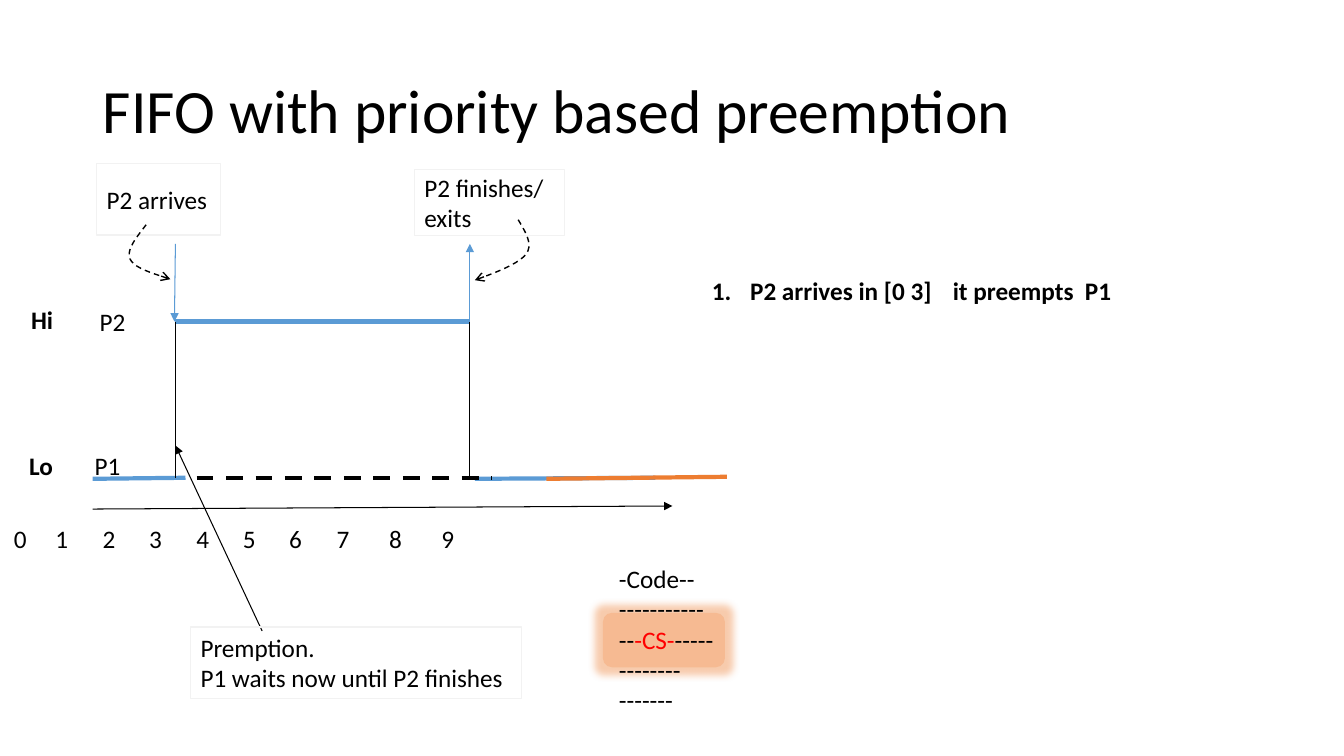
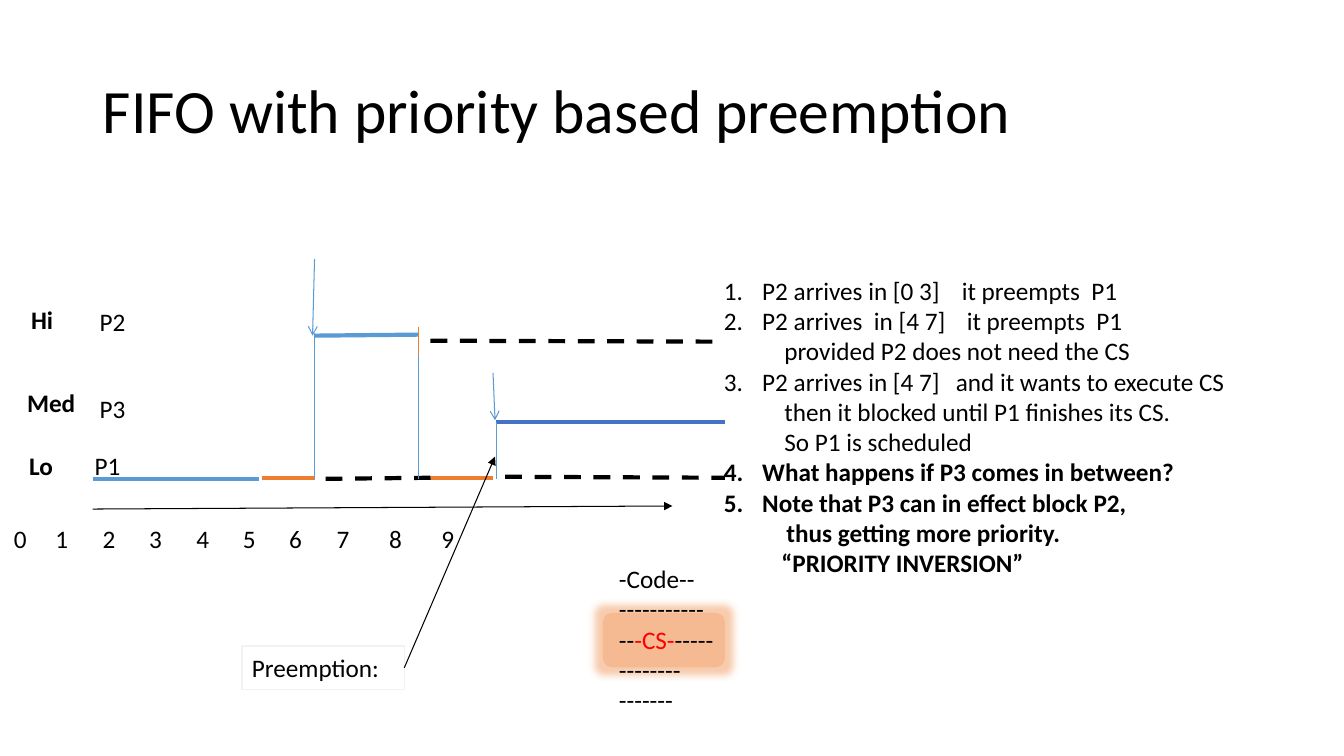
import dataclasses
import typing

import lxml.etree
import pptx
import pptx.dml.color
import pptx.enum.dml
import pptx.enum.shapes
import pptx.enum.text
import pptx.oxml.ns
import pptx.util

Inches = pptx.util.Inches
Pt = pptx.util.Pt
qn = pptx.oxml.ns.qn

COLORS = {
    "text": "000000",
    "run": "5B9BD5",
    "critical": "ED7D31",
    "medium": "4472C4",
    "note_edge": "F2F2F2",
    "section": "F6BA92",
    "section_text": "FF0000",
}
FONT = "Calibri"
TITLE = "FIFO with priority based preemption"
AXIS_STOPS = [0.41, 0.88, 1.34, 1.81, 2.27, 2.73, 3.2, 3.72, 4.24]
LOW = 3.12
THICK = 3
THIN = 0.75


@dataclasses.dataclass
class Region:
    slide: typing.Any
    left: float
    top: float

    def point(self, x, y):
        return Inches(self.left + x), Inches(self.top + y)


def rgb(name):
    return pptx.dml.color.RGBColor.from_string(COLORS[name])


def add_run(paragraph, text, size=18, bold=False, color="text"):
    run = paragraph.add_run()
    run.text = text
    run.font.name = FONT
    run.font.size = Pt(size)
    run.font.bold = bold
    run.font.color.rgb = rgb(color)


def fill_lines(frame, lines, bold=False):
    for index, line in enumerate(lines):
        paragraph = frame.add_paragraph() if index else frame.paragraphs[0]
        paragraph.alignment = pptx.enum.text.PP_ALIGN.LEFT
        for text, color in [(line, "text")] if isinstance(line, str) else line:
            add_run(paragraph, text, bold=bold, color=color)


def set_tabs(paragraph, stops):
    tabs = lxml.etree.SubElement(paragraph._p.get_or_add_pPr(), qn("a:tabLst"))
    for stop in stops:
        lxml.etree.SubElement(tabs, qn("a:tab"), pos=str(Inches(stop)), algn="l")


def label(region, x, y, lines, width=0.8, height=0.4, bold=False):
    box = region.slide.shapes.add_textbox(
        *region.point(x, y), Inches(width), Inches(height))
    box.text_frame.word_wrap = True
    fill_lines(box.text_frame, lines, bold)
    return box


def note(region, x, y, width, height, lines):
    box = region.slide.shapes.add_shape(
        pptx.enum.shapes.MSO_SHAPE.RECTANGLE,
        *region.point(x, y), Inches(width), Inches(height))
    box.shadow.inherit = False
    box.fill.background()
    box.line.color.rgb = rgb("note_edge")
    box.line.width = Pt(1)
    box.text_frame.word_wrap = True
    box.text_frame.vertical_anchor = pptx.enum.text.MSO_ANCHOR.MIDDLE
    fill_lines(box.text_frame, lines)
    return box


def style_line(line, color, width, dashed, head):
    line.color.rgb = rgb(color)
    line.width = Pt(width)
    if dashed:
        line.dash_style = pptx.enum.dml.MSO_LINE.DASH
    if head:
        lxml.etree.SubElement(line._get_or_add_ln(), qn("a:tailEnd"), type=head)


def line(region, start, end, color="text", width=THIN, dashed=False, head=None):
    connector = region.slide.shapes.add_connector(
        pptx.enum.shapes.MSO_CONNECTOR.STRAIGHT,
        *region.point(*start), *region.point(*end))
    style_line(connector.line, color, width, dashed, head)
    lxml.etree.SubElement(connector._element.spPr, qn("a:effectLst"))
    return connector


def curved_arrow(region, start, *segments, steps=10):
    points = []
    origin = start
    for segment in segments:
        corners = (origin, *segment)
        for step in range(1, steps + 1):
            t = step / steps
            weights = ((1 - t) ** 3, 3 * t * (1 - t) ** 2, 3 * t * t * (1 - t), t ** 3)
            points.append(region.point(*(
                sum(w * corner[axis] for w, corner in zip(weights, corners))
                for axis in (0, 1))))
        origin = segment[-1]
    builder = region.slide.shapes.build_freeform(*region.point(*start))
    builder.add_line_segments(points, close=False)
    arrow = builder.convert_to_shape()
    arrow.shadow.inherit = False
    arrow.fill.background()
    style_line(arrow.line, "text", 1, True, "arrow")


def move(placeholder, left, top, width, height):
    placeholder.left, placeholder.top = Inches(left), Inches(top)
    placeholder.width, placeholder.height = Inches(width), Inches(height)


def title_band(slide):
    title = slide.shapes.title
    move(title, 0.92, 0.4, 11.5, 1.45)
    title.text_frame.vertical_anchor = pptx.enum.text.MSO_ANCHOR.MIDDLE
    heading = title.text_frame.paragraphs[0]
    heading.alignment = pptx.enum.text.PP_ALIGN.LEFT
    heading.line_spacing = 0.9
    add_run(heading, TITLE, size=44)


def code_listing(region):
    section = region.slide.shapes.add_shape(
        pptx.enum.shapes.MSO_SHAPE.ROUNDED_RECTANGLE,
        *region.point(0, 0.54), Inches(1.21), Inches(0.54))
    section.shadow.inherit = False
    section.fill.solid()
    section.fill.fore_color.rgb = rgb("section")
    section.line.fill.background()
    effects = section._element.spPr.find(qn("a:effectLst"))
    glow = lxml.etree.SubElement(effects, qn("a:glow"), rad=str(Inches(0.15)))
    tint = lxml.etree.SubElement(glow, qn("a:srgbClr"), val=COLORS["critical"])
    lxml.etree.SubElement(tint, qn("a:alpha"), val="40000")
    label(region, 0.06, 0, [
        "-Code--",
        "-----------",
        [("--", "text"), ("-CS-", "section_text"), ("-----", "text")],
        "--------",
        "-------",
    ], width=1.34, height=1.6)


def time_axis(region):
    line(region, (0, 3.43), (5.75, 3.4), head="triangle")
    ticks = label(region, -0.88, 3.52, ["\t".join(map(str, range(10)))], width=6.16)
    set_tabs(ticks.text_frame.paragraphs[0], AXIS_STOPS)


def process_levels(region, levels):
    for level, level_at, process, process_at in levels:
        label(region, *level_at, [level], bold=True)
        label(region, *process_at, [process])


def scenario_list(slide, left, top, width, height, items):
    body = slide.placeholders[1]
    move(body, left, top, width, height)
    frame = body.text_frame
    frame.word_wrap = True
    frame.auto_size = pptx.enum.text.MSO_AUTO_SIZE.NONE
    for index, (number, indent, text, stop, bold) in enumerate(items):
        paragraph = frame.add_paragraph() if index else frame.paragraphs[0]
        paragraph.line_spacing = 1.0
        paragraph.space_before = Pt(0)
        properties = paragraph._p.get_or_add_pPr()
        properties.set("marL", str(Inches(indent)))
        properties.set("indent", str(Inches(-indent if number else 0)))
        if number:
            lxml.etree.SubElement(properties, qn("a:buFont"), typeface="+mj-lt")
            lxml.etree.SubElement(
                properties, qn("a:buAutoNum"), type="arabicPeriod", startAt=str(number))
        else:
            lxml.etree.SubElement(properties, qn("a:buNone"))
        if stop:
            set_tabs(paragraph, [stop])
        add_run(paragraph, text, bold=bold)


HI_LEVEL = ("Hi", (-0.71, 1.35), "P2", (-0.03, 1.37))
MED_LEVEL = ("Med", (-0.75, 2.17), "P3", (-0.03, 2.23))
LO_LEVEL = ("Lo", (-0.73, 2.8), "P1", (-0.08, 2.8))


def two_process_diagram(region):
    arrival, finish, high = 0.82, 3.74, 1.57
    line(region, (0, 3.13), (0.92, LOW), "run", THICK)
    line(region, (3.79, 3.13), (5.58, LOW), "run", THICK)
    line(region, (1.03, LOW), (3.96, LOW), width=THICK, dashed=True)
    line(region, (arrival, high), (finish, high), "run", THICK)
    line(region, (4.5, 3.13), (6.29, 3.11), "critical", THICK)
    line(region, (arrival, 0.8), (0.81, high), "run", head="triangle")
    line(region, (finish, high), (finish, 0.8), "run", head="triangle")
    for x in (arrival, finish):
        line(region, (x, LOW), (x, high))
    line(region, (1.68, 4.64), (arrival, 2.8), head="triangle")
    note(region, 0.97, 4.6, 3.28, 0.71,
         ["Premption.", "P1 waits now until P2 finishes"])
    note(region, 0.04, 0, 1.23, 0.71, ["P2 arrives"])
    note(region, 3.19, 0.06, 1.49, 0.66, ["P2 finishes/ exits"])
    curved_arrow(region, (0.53, 0.61),
                 ((0.43, 0.74), (0.33, 0.86), (0.37, 0.95)),
                 ((0.41, 1.04), (0.59, 1.09), (0.77, 1.15)))
    curved_arrow(region, (4.22, 0.56),
                 ((4.29, 0.68), (4.37, 0.8), (4.3, 0.9)),
                 ((4.22, 1.0), (4.01, 1.08), (3.79, 1.16)))


def three_process_diagram(region):
    p2_start, p2_end, p3_start, end = 2.2, 3.23, 4.0, 6.27
    line(region, (0, 3.13), (1.65, 3.13), "run", THICK)
    line(region, (1.68, LOW), (p2_start, LOW), "critical", THICK)
    line(region, (3.35, LOW), (3.97, LOW), "critical", THICK)
    line(region, (p2_start, 1.71), (p2_end, 1.7), "run", THICK)
    line(region, (p3_start, 2.57), (end, 2.57), "medium", THICK)
    for wait_start, wait_end in [((2.31, 3.13), (3.35, LOW)),
                                 ((3.35, 1.76), (end, 1.77)),
                                 ((4.09, 3.11), (end, LOW))]:
        line(region, wait_start, wait_end, width=THICK, dashed=True)
    line(region, (p2_start, 0.95), (2.18, 1.71), "run", head="arrow")
    line(region, (3.97, 2.08), (3.99, 2.55), "run", head="arrow")
    line(region, (p2_end, 1.62), (p2_end, 1.9), "critical")
    for x, switch_top in [(p2_start, 1.68), (p2_end, 1.9), (p3_start, 2.57)]:
        line(region, (x, 3.13), (x, switch_top), "run")
    preemption = note(region, 1.48, 4.79, 1.61, 0.43, ["Preemption:"])
    pointer = line(region, (3.09, 5.0), (3.99, 2.91), head="triangle")
    pointer.begin_connect(preemption, 3)


def schedule_slide(deck, levels, diagram, list_box, items):
    slide = deck.slides.add_slide(deck.slide_layouts[1])
    code_listing(Region(slide, 5.98, 5.54))
    title_band(slide)
    region = Region(slide, 0.92, 1.62)
    time_axis(region)
    process_levels(region, levels)
    diagram(region)
    scenario_list(slide, *list_box, items)


def main():
    deck = pptx.Presentation()
    deck.slide_width, deck.slide_height = Inches(13.33), Inches(7.5)
    schedule_slide(deck, [HI_LEVEL, LO_LEVEL], two_process_diagram,
                   (6.96, 2.68, 5.62, 0.4),
                   [(1, 0.38, "P2 arrives in [0 3]\tit preempts  P1", 2.39, True)])
    schedule_slide(deck, [HI_LEVEL, MED_LEVEL, LO_LEVEL], three_process_diagram,
                   (7.08, 2.68, 6.2, 3.1), [
        (1, 0.38, "P2 arrives in [0 3]\tit preempts  P1", 2.36, False),
        (2, 0.38, "P2 arrives  in [4 7]\tit preempts  P1", 2.41, False),
        (None, 0.6, "provided P2 does not need the CS", None, False),
        (3, 0.38, "P2 arrives in [4 7]\tand it wants to execute CS", 2.3, False),
        (None, 0.6, "then it blocked until P1 finishes its CS.", None, False),
        (None, 0.6, "So P1 is scheduled", None, False),
        (4, 0.38, "What happens if P3 comes in between?", None, True),
        (5, 0.38, "Note that P3 can in effect block P2,", None, True),
        (None, 0.62, "thus getting more priority.", None, True),
        (None, 0.57, "“PRIORITY INVERSION”", None, True),
    ])
    deck.save("out.pptx")


if __name__ == "__main__":
    main()
